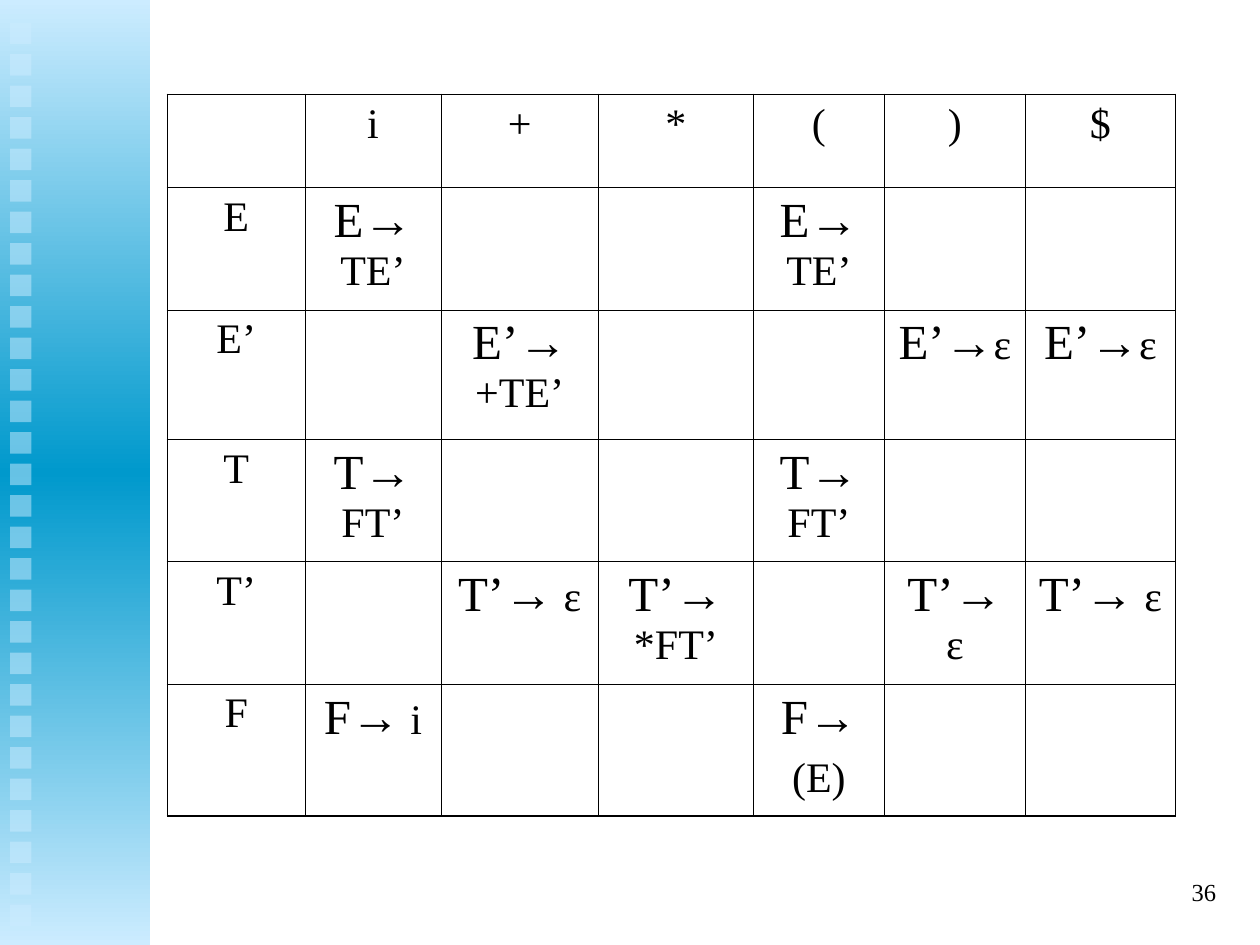
"""Build the LL(1) parsing table slide with its gradient sidebar."""
from lxml import etree
from pptx import Presentation
from pptx.dml.color import RGBColor
from pptx.enum import shapes, text
from pptx.oxml import ns, parse_xml
from pptx.util import Inches, Pt

BLACK = RGBColor(0x00, 0x00, 0x00)
PALE_BLUE = RGBColor(0xCC, 0xEC, 0xFF)
DEEP_BLUE = RGBColor(0x00, 0x99, 0xCC)
FONT = "Times New Roman"

PARSING_TABLE = [
    ["", "i", "+", "*", "(", ")", "$"],
    ["E", "E→ TE’", "", "", "E→ TE’", "", ""],
    ["E’", "", "E’→ +TE’", "", "", "E’→ε", "E’→ε"],
    ["T", "T→ FT’", "", "", "T→ FT’", "", ""],
    ["T’", "", "T’→ ε", "T’→ *FT’", "", "T’→ ε", "T’→ ε"],
    ["F", "F→ i", "", "", "F→\n(E)", "", ""],
]
COLUMN_WIDTHS = [1.09, 1.08, 1.25, 1.23, 1.04, 1.12, 1.19]
ROW_HEIGHTS = [0.74, 0.97, 1.03, 0.97, 0.97, 1.05]
TABLE_LEFT, TABLE_TOP = 1.33, 0.75
SLIDE_NUMBER = "36"
ARROW_SIZE, TEXT_SIZE, NUMBER_SIZE = 28, 24, 14
INNER_LINE, OUTER_LINE = 0.45, 1.08
SQUARE_COUNT, SQUARE_PITCH, SQUARE_SIZE = 29, 0.25, 0.17
SQUARE_LEFT, SQUARE_TOP = 0.08, 0.18


def add_rectangle(slide, left, top, width, height):
    shape = slide.shapes.add_shape(
        shapes.MSO_SHAPE.RECTANGLE, *map(Inches, (left, top, width, height)))
    shape.shadow.inherit = False
    shape.line.fill.background()
    shape.fill.solid()
    shape.fill.fore_color.rgb = PALE_BLUE
    return shape


def add_sidebar(slide):
    band = add_rectangle(slide, 0, 0, 1.19, 7.5)
    stops = "".join(
        f'<a:gs pos="{position * 1000}"><a:srgbClr val="{color}"/></a:gs>'
        for position, color in [(0, PALE_BLUE), (50, DEEP_BLUE), (100, PALE_BLUE)])
    gradient = parse_xml(
        f'<a:gradFill {ns.nsdecls("a")} rotWithShape="1"><a:gsLst>{stops}</a:gsLst>'
        '<a:lin ang="5400000" scaled="0"/></a:gradFill>')
    solid = band._element.spPr.find(ns.qn("a:solidFill"))
    solid.getparent().replace(solid, gradient)
    for index in range(SQUARE_COUNT):
        square = add_rectangle(slide, SQUARE_LEFT, SQUARE_TOP + index * SQUARE_PITCH,
                               SQUARE_SIZE, SQUARE_SIZE)
        color = square._element.spPr.find(ns.qn("a:solidFill"))[0]
        etree.SubElement(color, ns.qn("a:alpha"), val="50000")


def add_run(paragraph, words, size):
    run = paragraph.add_run()
    run.text = words
    for name, value in {"name": FONT, "size": Pt(size)}.items():
        setattr(run.font, name, value)
    run.font.color.rgb = BLACK


def fill_cell(cell, content):
    for index, line in enumerate(content.split("\n")):
        frame = cell.text_frame
        paragraph = frame.add_paragraph() if index else frame.paragraphs[0]
        paragraph.alignment = text.PP_ALIGN.CENTER
        paragraph.space_before = Pt(6)
        head, arrow, tail = line.rpartition("→")
        for words, size in [(head + arrow, ARROW_SIZE), (tail, TEXT_SIZE)]:
            if words:
                add_run(paragraph, words, size)


def set_borders(cell, outer_sides):
    properties = cell._tc.get_or_add_tcPr()
    for index, side in enumerate("LRTB"):
        width = Pt(OUTER_LINE if side in outer_sides else INNER_LINE)
        properties.insert(index, parse_xml(
            f'<a:ln{side} {ns.nsdecls("a")} w="{width}"><a:solidFill>'
            f'<a:srgbClr val="{BLACK}"/></a:solidFill></a:ln{side}>'))


def add_parsing_table(slide):
    rows, columns = len(ROW_HEIGHTS), len(COLUMN_WIDTHS)
    table = slide.shapes.add_table(
        rows, columns, Inches(TABLE_LEFT), Inches(TABLE_TOP),
        Inches(sum(COLUMN_WIDTHS)), Inches(sum(ROW_HEIGHTS))).table
    table.first_row = table.horz_banding = False
    for column, width in zip(table.columns, COLUMN_WIDTHS):
        column.width = Inches(width)
    for row, height in zip(table.rows, ROW_HEIGHTS):
        row.height = Inches(height)
    for r, contents in enumerate(PARSING_TABLE):
        for c, content in enumerate(contents):
            cell = table.cell(r, c)
            cell.fill.background()
            fill_cell(cell, content)
            edges = {"L": c == 0, "R": c == columns - 1, "T": r == 0, "B": r == rows - 1}
            set_borders(cell, [side for side, outer in edges.items() if outer])


def add_slide_number(slide):
    box = slide.shapes.add_textbox(*map(Inches, (7.67, 6.83, 2.08, 0.5)))
    frame = box.text_frame
    for name, value in {"word_wrap": True,
                        "vertical_anchor": text.MSO_ANCHOR.MIDDLE}.items():
        setattr(frame, name, value)
    frame.paragraphs[0].alignment = text.PP_ALIGN.RIGHT
    add_run(frame.paragraphs[0], SLIDE_NUMBER, NUMBER_SIZE)


def main():
    presentation = Presentation()
    presentation.slide_width, presentation.slide_height = Inches(10), Inches(7.5)
    slide = presentation.slides.add_slide(presentation.slide_layouts[6])
    add_sidebar(slide)
    add_parsing_table(slide)
    add_slide_number(slide)
    presentation.save("out.pptx")


if __name__ == "__main__":
    main()
